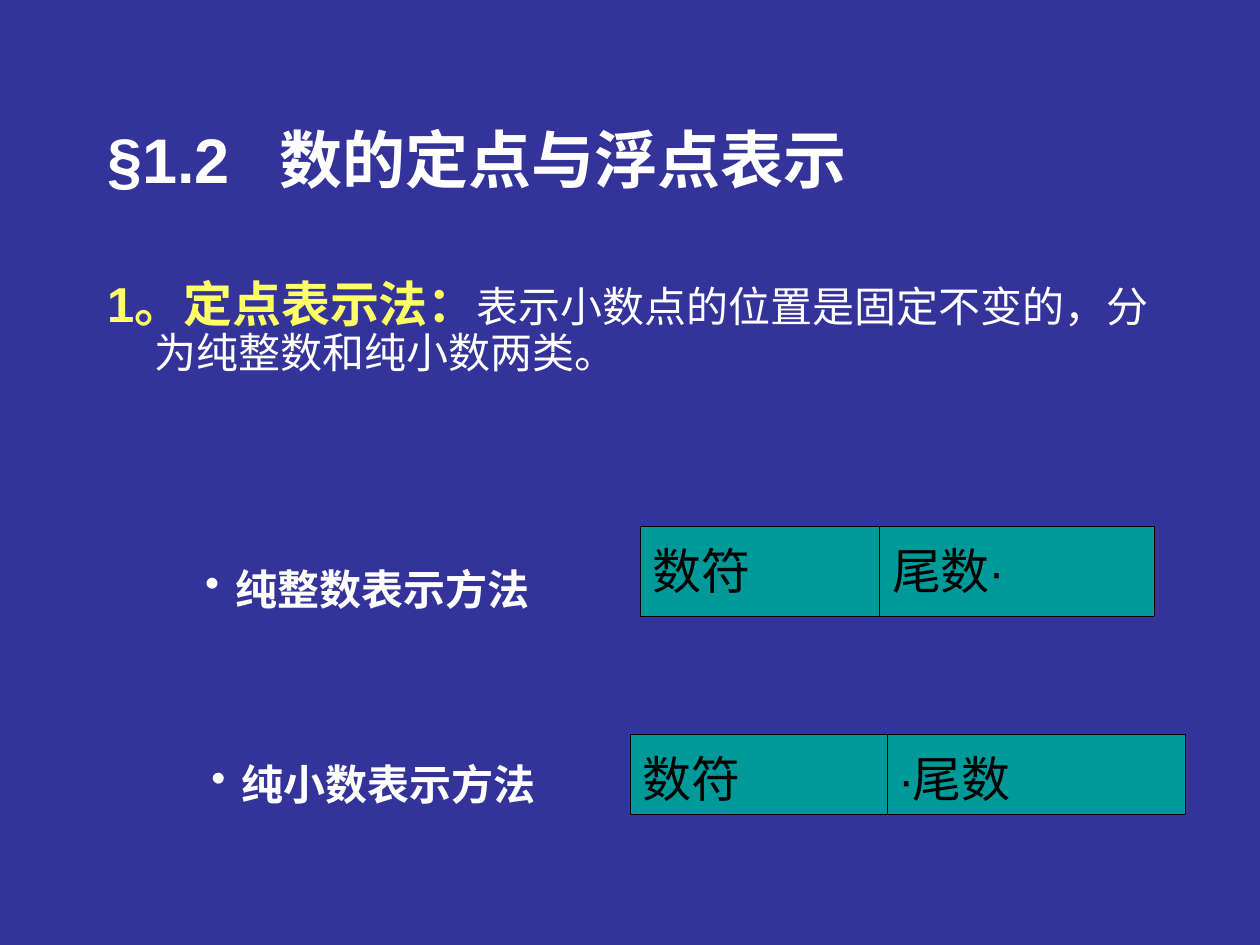
import dataclasses
import pptx
import pptx.dml.color
import pptx.enum.text
import pptx.oxml
import pptx.oxml.ns
import pptx.util

# Grid: 100 columns by 75 rows on a 10 by 7.5 inch slide
WIDE = pptx.util.Inches(10)
HIGH = pptx.util.Inches(7.5)
COL = WIDE / 100
ROW = HIGH / 75

HUES = {"back": "333399", "text": "FFFFFF", "key": "FFFF66",
        "cell": "009999", "ink": "000000"}
ALIGN = pptx.enum.text.PP_ALIGN


@dataclasses.dataclass
class Box:
    """Left, top, width and height in grid columns and rows."""
    left: float
    top: float
    wide: float
    high: float

    def span(self) -> tuple:
        return (int(self.left * COL), int(self.top * ROW),
                int(self.wide * COL), int(self.high * ROW))


@dataclasses.dataclass
class Form:
    """A labelled number format: sign cell and mantissa cell."""
    label: str
    note: Box
    grid: Box
    sign: float
    tail: list


FORMS = [
    Form("纯整数表示方法", Box(15.3, 43.8, 30, 5.4), Box(50.8, 41.8, 40.8, 7.1),
         19, [("尾数", "Arial"), ("·", "Arial Narrow")]),
    Form("纯小数表示方法", Box(15.8, 59.3, 30, 5.4), Box(50, 58.3, 44.1, 6.3),
         20.4, [("·", "Arial Narrow"), ("尾数", "Arial")]),
]


def tint(name: str) -> pptx.dml.color.RGBColor:
    return pptx.dml.color.RGBColor.from_string(HUES[name])


def write(par, text: str, size: float = 24, font: str = "Arial",
          hue: str = "text", bold: bool = False) -> None:
    run = par.add_run()
    run.text = text
    run.font.size = pptx.util.Pt(size)
    run.font.name = font
    run.font.bold = bold
    run.font.color.rgb = tint(hue)


def node(xml: str):
    space = pptx.oxml.ns.nsdecls("a")
    return pptx.oxml.parse_xml(xml.replace(">", f" {space}>", 1))


def hang(par, inch: float) -> None:
    prop = par._p.get_or_add_pPr()
    size = pptx.util.Inches(inch)
    prop.set("marL", str(size))
    prop.set("indent", str(-size))


def place(shape, box: Box) -> None:
    shape.left, shape.top, shape.width, shape.height = box.span()


def edge(cell) -> None:
    prop = cell._tc.get_or_add_tcPr()
    wide = pptx.util.Pt(0.34)
    for spot, side in enumerate("LRTB"):
        prop.insert(spot, node(
            f'<a:ln{side} w="{wide}"><a:solidFill><a:srgbClr val="{HUES["ink"]}"/>'
            f'</a:solidFill></a:ln{side}>'))


def draw(slide, form: Form) -> None:
    # Bulleted label
    frame = slide.shapes.add_textbox(*form.note.span()).text_frame
    frame.word_wrap = True
    par = frame.paragraphs[0]
    par.alignment = ALIGN.JUSTIFY
    par.line_spacing = 1.1
    par.space_before = pptx.util.Pt(6)
    hang(par, 0.24)
    prop = par._p.get_or_add_pPr()
    prop.append(node(f'<a:buClr><a:srgbClr val="{HUES["text"]}"/></a:buClr>'))
    prop.append(node('<a:buChar char="•"></a:buChar>'))
    write(par, form.label, font="Times New Roman", bold=True)

    # Sign and mantissa cells
    table = slide.shapes.add_table(1, 2, *form.grid.span()).table
    table.first_row = table.horz_banding = False
    table.columns[0].width = int(form.sign * COL)
    table.columns[1].width = int((form.grid.wide - form.sign) * COL)
    for cell, parts in zip(table.rows[0].cells, ([("数符", "Arial")], form.tail)):
        cell.fill.solid()
        cell.fill.fore_color.rgb = tint("cell")
        edge(cell)
        par = cell.text_frame.paragraphs[0]
        par.alignment = ALIGN.JUSTIFY
        for text, font in parts:
            write(par, text, size=28, font=font, hue="ink")


def main() -> None:
    deck = pptx.Presentation()
    deck.slide_width, deck.slide_height = WIDE, HIGH
    slide = deck.slides.add_slide(deck.slide_layouts[1])
    slide.background.fill.solid()
    slide.background.fill.fore_color.rgb = tint("back")

    # Title, with a tab stop after the section number
    head = slide.shapes.title
    place(head, Box(7.5, 3.6, 85, 12.5))
    frame = head.text_frame
    frame.auto_size = pptx.enum.text.MSO_AUTO_SIZE.NONE
    frame.vertical_anchor = pptx.enum.text.MSO_ANCHOR.BOTTOM
    par = frame.paragraphs[0]
    par.alignment = ALIGN.LEFT
    stop = pptx.util.Inches(1.37)
    par._p.get_or_add_pPr().append(
        node(f'<a:tabLst><a:tab pos="{stop}" algn="l"/></a:tabLst>'))
    write(par, "§1.2\t数的定点与浮点表示", size=36, bold=True)

    # Definition
    body = slide.placeholders[1]
    place(body, Box(7.5, 21.7, 85.8, 48.1))
    frame = body.text_frame
    frame.auto_size = pptx.enum.text.MSO_AUTO_SIZE.NONE
    par = frame.paragraphs[0]
    par.line_spacing = 0.9
    par.space_before = pptx.util.Pt(0)
    hang(par, 0.38)
    par._p.get_or_add_pPr().append(node("<a:buNone></a:buNone>"))
    write(par, "1。定点表示法：", size=28, hue="key", bold=True)
    write(par, "表示小数点的位置是固定不变的，分为纯整数和纯小数两类。")

    # The two number formats
    for form in FORMS:
        draw(slide, form)
    deck.save("out.pptx")


if __name__ == "__main__":
    main()
